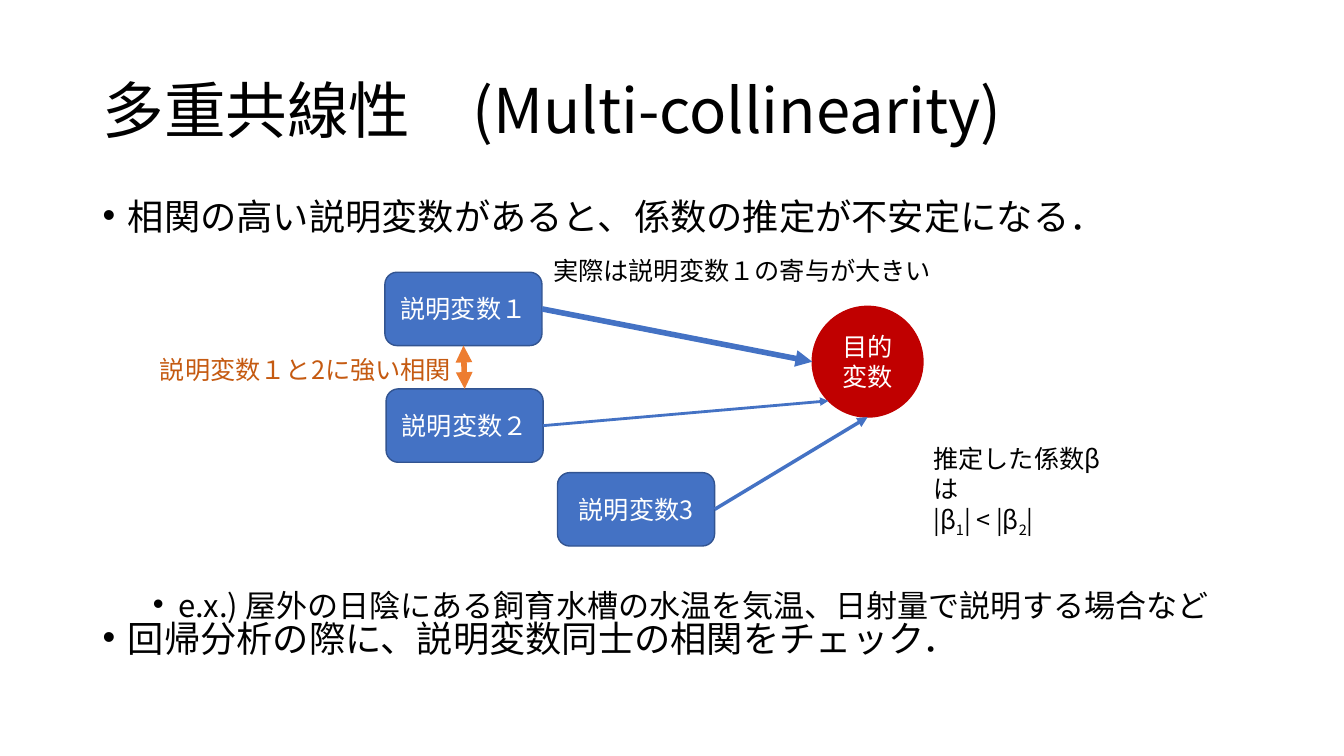
from math import sqrt

from lxml import etree
from pptx import Presentation
from pptx.dml.color import RGBColor
from pptx.enum.shapes import MSO_CONNECTOR, MSO_SHAPE
from pptx.enum.text import MSO_ANCHOR, MSO_AUTO_SIZE, PP_ALIGN
from pptx.oxml.ns import qn
from pptx.util import Cm, Pt

STRAIGHT = MSO_CONNECTOR.STRAIGHT
ROUNDED, OVAL = MSO_SHAPE.ROUNDED_RECTANGLE, MSO_SHAPE.OVAL
MIDDLE, TOP = MSO_ANCHOR.MIDDLE, MSO_ANCHOR.TOP
FIXED, GROW = MSO_AUTO_SIZE.NONE, MSO_AUTO_SIZE.SHAPE_TO_FIT_TEXT
LEFT, CENTER = PP_ALIGN.LEFT, PP_ALIGN.CENTER

FONT = "Noto Sans CJK JP"
BLACK = RGBColor(0x00, 0x00, 0x00)
WHITE = RGBColor(0xFF, 0xFF, 0xFF)
BLUE = RGBColor(0x44, 0x72, 0xC4)
NAVY = RGBColor(0x32, 0x54, 0x91)
RED = RGBColor(0xC0, 0x00, 0x00)
ORANGE = RGBColor(0xED, 0x7D, 0x31)
BROWN = RGBColor(0xC5, 0x5A, 0x11)

# Positions in cm, relative to the diagram box
VARIABLE_SIZE = (3.96, 1.85)
VARIABLES = [("説明変数１", 5.92, 0.56), ("説明変数２", 5.95, 3.5),
             ("説明変数3", 10.27, 5.61)]
TARGET = (16.69, 1.42, 2.79)
NOTES = [  # runs per line, left, top, width, height, right inset, colour
    ([["実際は説明変数１の寄与が大きい"]], 9.91, 0, 10.13, 1.02, 0.25, BLACK),
    ([["説明変数１と2に強い相関"]], 0, 2.51, 7.92, 1.02, 0.25, BROWN),
    ([["推定した係数βは"], ["|β", "1", "| < |β", "2", "| "]],
     19.49, 4.75, 5.64, 1.8, 0.8, BLACK),
]
BULLETS = [  # text, level, size, space before
    ("相関の高い説明変数があると、係数の推定が不安定になる．", 0, 25.9, 0),
    ("e.x.) 屋外の日陰にある飼育水槽の水温を気温、日射量で説明する場合など",
     1, 22.2, 257),
    ("回帰分析の際に、説明変数同士の相関をチェック．", 0, 25.9, 4),
]


def set_all(target, values):
    for name, value in values.items():
        setattr(target, name, value)


def add_span(para, text, size, color):
    span = para.add_run()
    span.text = text
    set_all(span.font, {"name": FONT, "size": Pt(size)})
    span.font.color.rgb = color
    east_asian = etree.SubElement(span.font._element, qn("a:ea"))
    east_asian.set("typeface", FONT)
    return span


def place(shape, box):
    names = ("left", "top", "width", "height")
    set_all(shape, dict(zip(names, map(Cm, box))))


def add_title(page, box):
    title = page.shapes.title
    place(title, box)
    set_all(title.text_frame, {"auto_size": FIXED, "vertical_anchor": MIDDLE})
    para = title.text_frame.paragraphs[0]
    set_all(para, {"alignment": LEFT, "line_spacing": 0.9})
    add_span(para, "多重共線性　(Multi-collinearity)", 44, BLACK)


def add_bullets(page, box):
    body = page.placeholders[1]
    place(body, box)
    frame = body.text_frame
    set_all(frame, {"auto_size": FIXED, "vertical_anchor": TOP})
    for index, (text, level, size, gap) in enumerate(BULLETS):
        para = frame.add_paragraph() if index else frame.paragraphs[0]
        set_all(para, {"level": level, "line_spacing": 0.7,
                       "space_before": Pt(gap), "space_after": Pt(0)})
        add_span(para, text, size, BLACK)
        props = para._p.get_or_add_pPr()
        props.set("marL", str(Cm(0.635 + 1.27 * level)))
        props.set("indent", str(Cm(-0.635)))
        etree.SubElement(props, qn("a:buFont")).set("typeface", "Arial")
        etree.SubElement(props, qn("a:buChar")).set("char", "•")


def add_node(page, kind, text, box, fill, line):
    node = page.shapes.add_shape(kind, *map(Cm, box))
    node.shadow.inherit = False
    node.fill.solid()
    node.fill.fore_color.rgb = fill
    node.line.color.rgb = line
    node.line.width = Pt(1)
    set_all(node.text_frame, {"word_wrap": True, "vertical_anchor": MIDDLE})
    para = node.text_frame.paragraphs[0]
    para.alignment = CENTER
    add_span(para, text, 18, WHITE)


def add_arrow(page, start, end, color, width, ends=("tailEnd",)):
    arrow = page.shapes.add_connector(STRAIGHT, *map(Cm, start + end))
    arrow.line.color.rgb = color
    arrow.line.width = Pt(width)
    outline = arrow.line._get_or_add_ln()
    for end_name in ends:
        etree.SubElement(outline, qn(f"a:{end_name}")).set("type", "triangle")
    etree.SubElement(arrow._element.spPr, qn("a:effectLst"))


def add_note(page, lines, box, right_inset, color):
    frame = page.shapes.add_textbox(*map(Cm, box)).text_frame
    set_all(frame, {"word_wrap": True, "auto_size": GROW,
                    "margin_right": Cm(right_inset)})
    for index, line in enumerate(lines):
        para = frame.add_paragraph() if index else frame.paragraphs[0]
        for text in line:
            span = add_span(para, text, 18, color)
            if text.isdigit():  # subscript index
                span.font._element.set("baseline", "-25000")


def add_diagram(page, left, top):
    width, height = VARIABLE_SIZE
    # Target circle and explanatory variables
    x, y, size = left + TARGET[0], top + TARGET[1], TARGET[2]
    radius = size / 2
    add_node(page, OVAL, "目的変数", (x, y, size, size), RED, RED)
    corners = [(left + dx, top + dy) for _, dx, dy in VARIABLES]
    for (text, _, _), corner in zip(VARIABLES, corners):
        add_node(page, ROUNDED, text, corner + VARIABLE_SIZE, BLUE, NAVY)

    # Contribution arrows to the left, lower left and bottom of the circle
    diagonal = radius / sqrt(2)
    ends = [(x, y + radius),
            (x + radius - diagonal, y + radius + diagonal),
            (x + radius, y + size)]
    for (vx, vy), end, weight in zip(corners, ends, (4, 2, 2.5)):
        add_arrow(page, (vx + width, vy + height / 2), end, BLUE, weight)

    # Correlation arrow between variables 1 and 2
    (x1, y1), (x2, y2) = corners[:2]
    add_arrow(page, (x1 + width / 2, y1 + height), (x2 + width / 2, y2),
              ORANGE, 4, ("headEnd", "tailEnd"))

    # Notes
    for lines, dx, dy, w, h, inset, color in NOTES:
        add_note(page, lines, (left + dx, top + dy, w, h), inset, color)


deck = Presentation()
set_all(deck, {"slide_width": Cm(33.87), "slide_height": Cm(19.05)})
page = deck.slides.add_slide(deck.slide_layouts[1])
add_title(page, (2.33, 1.01, 29.21, 3.68))
add_bullets(page, (2.33, 5.07, 29.21, 12.09))
add_diagram(page, 3.78, 6.3)
deck.save("out.pptx")
